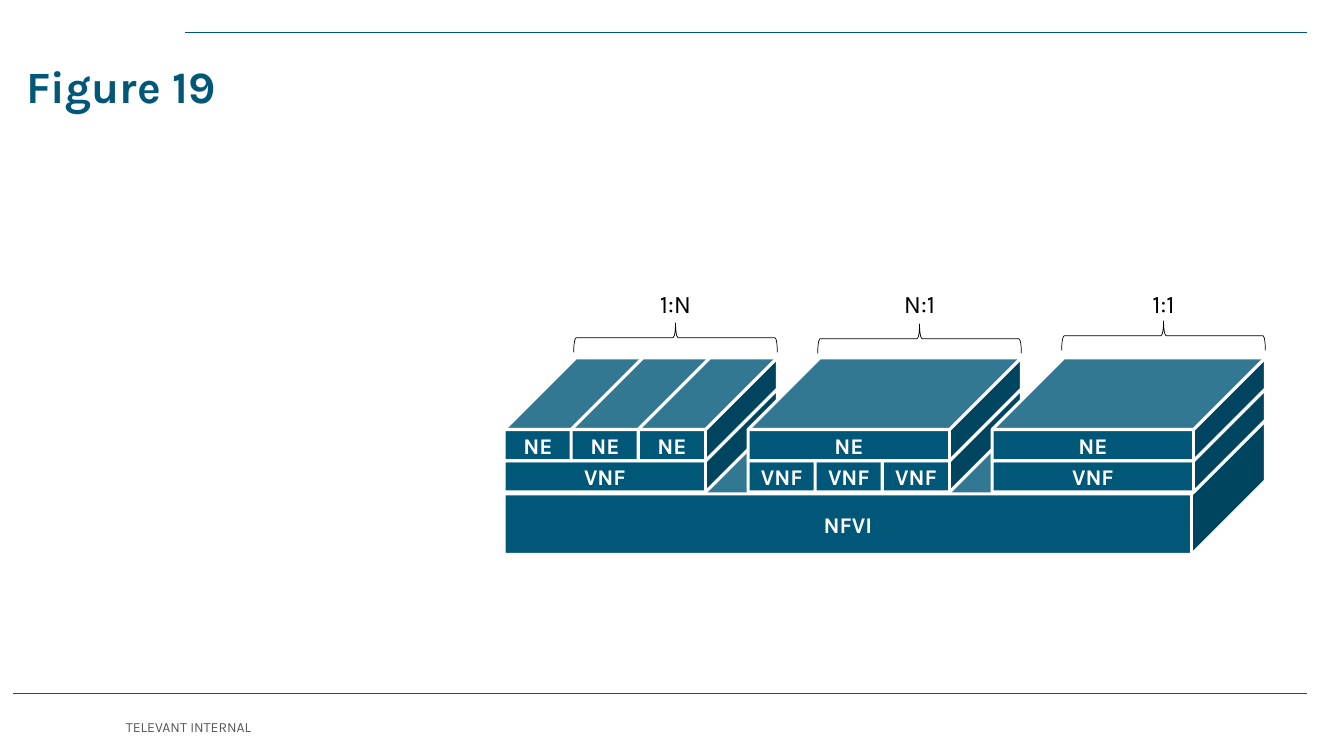
"""Build the Figure 19 slide: NE and VNF blocks stacked on a shared NFVI base."""
import pptx
import pptx.dml.color
import pptx.enum.shapes
import pptx.enum.text
import pptx.oxml
import pptx.oxml.ns
import pptx.util

SHAPE = pptx.enum.shapes.MSO_SHAPE
ALIGN = pptx.enum.text.PP_ALIGN
ANCHOR = pptx.enum.text.MSO_ANCHOR
COLORS = {"teal": "005778", "white": "FFFFFF", "black": "000000", "grey": "595959"}

LEFT, TOP = 5, 3.55
STACK, CELL, ROW = 2.42, 0.665, 0.31
CELL_W, CUBE_H = 1.38, 1.02
BLOCK_W = CELL_W + 2 * CELL
BRACE_W, BRACE_H = 0.29, 2.02
LABEL_W, LABEL_H = 0.63, 0.4

FORMATS = {
    "title": {"size": 32, "bold": True, "color": "teal", "align": ALIGN.LEFT, "anchor": ANCHOR.BOTTOM},
    "footer": {"size": 10, "bold": False, "color": "grey", "align": ALIGN.LEFT, "anchor": ANCHOR.MIDDLE},
    "block": {"size": 16, "bold": True, "color": "white", "align": ALIGN.CENTER, "anchor": ANCHOR.MIDDLE},
    "ratio": {"size": 18, "bold": False, "color": "black", "align": ALIGN.CENTER, "anchor": ANCHOR.TOP},
}


def write(sp, text, kind):
    """Put formatted text in a shape."""
    f = FORMATS[kind]
    tf = sp.text_frame
    tf.text = text
    p = tf.paragraphs[0]
    p.alignment = f["align"]
    font = p.runs[0].font
    font.color.rgb = pptx.dml.color.RGBColor.from_string(COLORS[f["color"]])
    for name, value in {"word_wrap": True, "vertical_anchor": f["anchor"],
                        "auto_size": pptx.enum.text.MSO_AUTO_SIZE.NONE}.items():
        setattr(tf, name, value)
    for name, value in {"name": "Karla", "size": pptx.util.Pt(f["size"]), "bold": f["bold"]}.items():
        setattr(font, name, value)


def add_cube(s, x, y, w, h, depth, text):
    """Add one labelled block."""
    sp = s.shapes.add_shape(SHAPE.CUBE, *map(pptx.util.Inches, (x, y, w, h)))
    sp.adjustments[0] = depth
    sp.shadow.inherit = False
    sp.fill.solid()
    sp.fill.fore_color.rgb = pptx.dml.color.RGBColor.from_string(COLORS["teal"])
    sp.line.color.rgb = pptx.dml.color.RGBColor.from_string(COLORS["white"])
    sp.line.width = pptx.util.Pt(2.25)
    write(sp, text, "block")


prs = pptx.Presentation()
prs.slide_width = pptx.util.Inches(13.33)
prs.slide_height = pptx.util.Inches(7.5)
s = prs.slides.add_slide(prs.slide_layouts[5])

for x, y in ((1.84, 0.32), (0.13, 6.88)):
    rule = s.shapes.add_connector(pptx.enum.shapes.MSO_CONNECTOR.STRAIGHT,
                                  *map(pptx.util.Inches, (x, y, 12.96, y)))
    rule.line.color.rgb = pptx.dml.color.RGBColor.from_string(COLORS["teal"])
    rule.line.width = pptx.util.Pt(1)
    rule._element.spPr.append(pptx.oxml.parse_xml(f"<a:effectLst {pptx.oxml.ns.nsdecls('a')}/>"))

title = s.shapes.title
for name, value in {"left": 0.16, "top": 0.56, "width": 11.15, "height": 0.6}.items():
    setattr(title, name, pptx.util.Inches(value))
write(title, "Figure 19", "title")
title.text_frame.paragraphs[0].line_spacing = 0.8

footer = s.shapes.add_textbox(*map(pptx.util.Inches, (1.15, 7.06, 7.62, 0.3)))
write(footer, "TELEVANT INTERNAL", "footer")

add_cube(s, LEFT, TOP + 2 * ROW, 7.55, 1.33, 0.549, "NFVI")

stacks = (("1:N", 1, 3, 2.34), ("N:1", 3, 1, 2.35), ("1:1", 1, 1, 2.32))
for i, (ratio, vnfs, nes, brace_top) in enumerate(stacks):
    x = LEFT + i * STACK
    for text, count, row in (("VNF", vnfs, 1), ("NE", nes, 0)):
        w = BLOCK_W if count == 1 else CELL_W
        for j in range(count):
            add_cube(s, x + j * CELL, TOP + row * ROW, w, CUBE_H, 0.697, text)

    mid = x + 1.7
    label = s.shapes.add_textbox(*map(pptx.util.Inches, (mid - LABEL_W / 2, 2.81, LABEL_W, LABEL_H)))
    write(label, ratio, "ratio")
    brace = s.shapes.add_shape(SHAPE.LEFT_BRACE,
                               *map(pptx.util.Inches, (mid - BRACE_W / 2, brace_top, BRACE_W, BRACE_H)))
    brace.rotation = 90
    brace.shadow.inherit = False
    brace.fill.background()
    brace.line.color.rgb = pptx.dml.color.RGBColor.from_string(COLORS["black"])
    brace.line.width = pptx.util.Pt(0.5)

prs.save("out.pptx")
